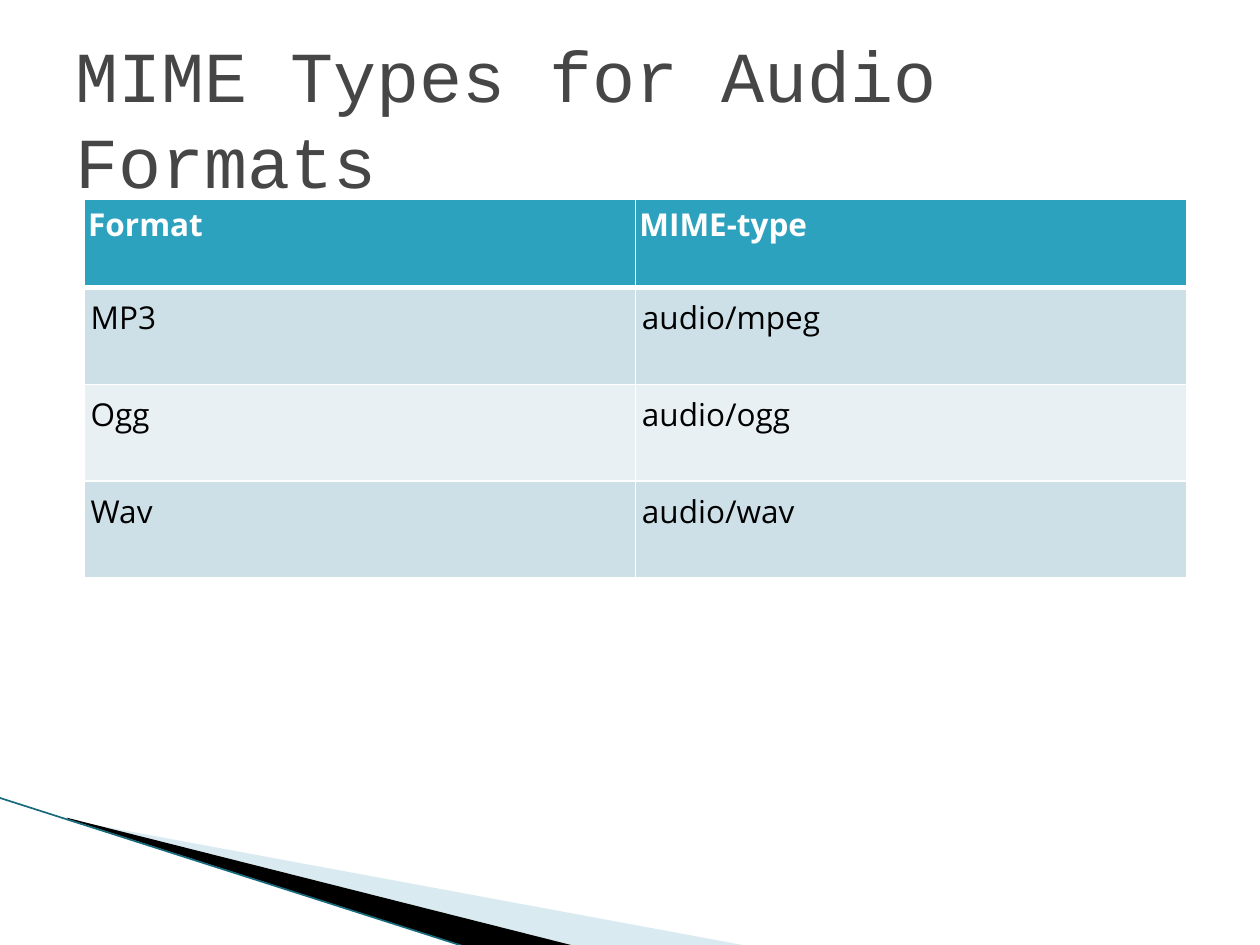
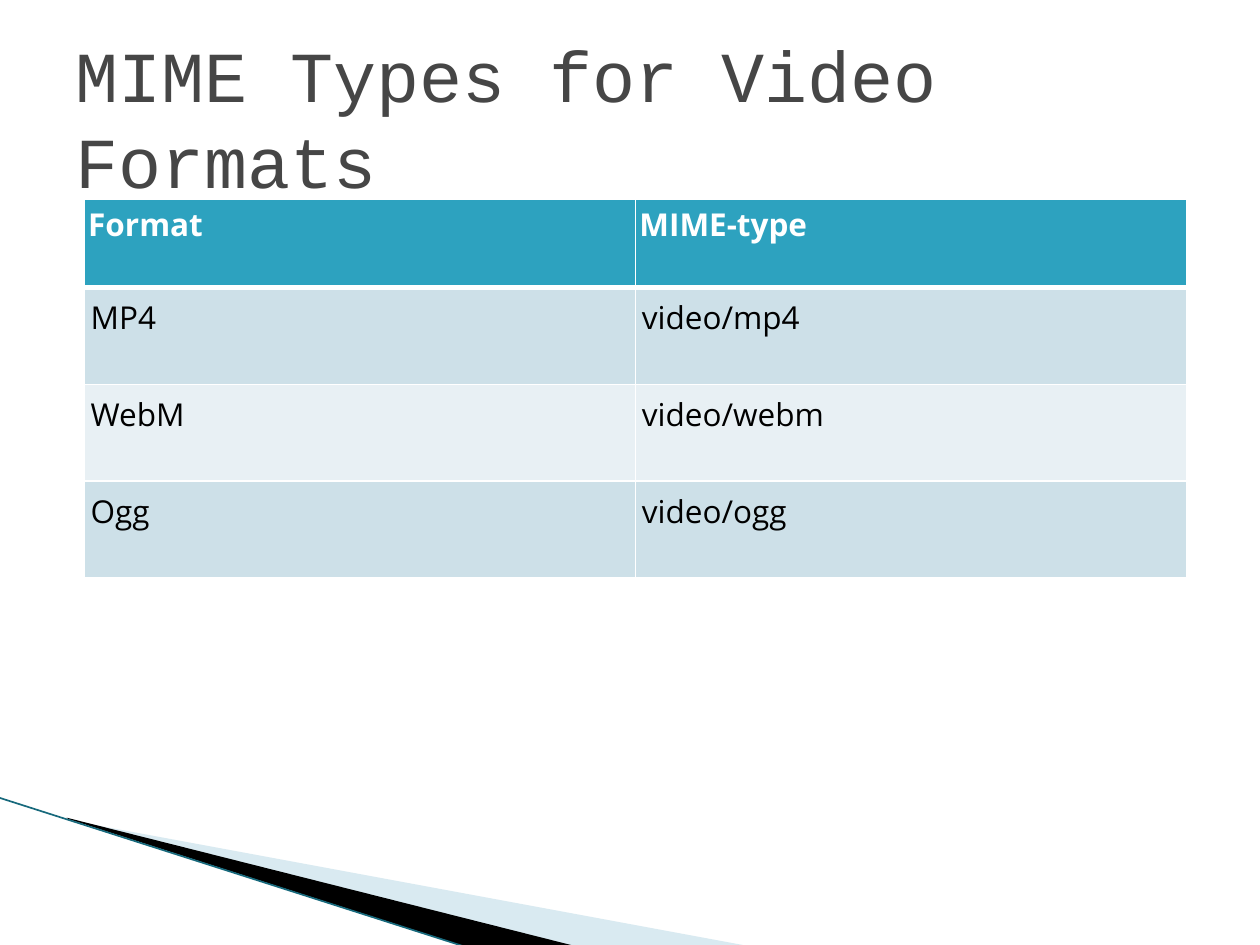
from lxml import etree
from pptx import Presentation
from pptx.dml.color import RGBColor
from pptx.enum.shapes import MSO_CONNECTOR
from pptx.enum.text import MSO_ANCHOR, MSO_AUTO_SIZE, PP_ALIGN
from pptx.oxml.ns import qn
from pptx.util import Pt

PX = 9144  # EMU per px, 100 px to the inch
LEFT, MIDDLE, NO_FIT = PP_ALIGN.LEFT, MSO_ANCHOR.MIDDLE, MSO_AUTO_SIZE.NONE
STRAIGHT = MSO_CONNECTOR.STRAIGHT
TITLE_ONLY = 5

WHITE, BLACK, GREY = "FFFFFF", "000000", "464646"
TEAL, PALE, PALER = "2DA2BF", "CDE0E8", "E8F0F4"
SWEEP_BLUE, EDGE = "A0CBDC", "17697C"

TITLE = {"name": "Courier New", "size": Pt(41), "bold": False, "color": GREY}
HEAD = {"name": "Open Sans", "size": Pt(18), "bold": True, "color": WHITE}
BODY = {**HEAD, "bold": False, "color": BLACK}


def rgb(value):
    return RGBColor.from_string(value)


def set_font(font, style):
    for key, value in style.items():
        if key == "color":
            font.color.rgb = rgb(value)
        else:
            setattr(font, key, value)


def set_attrs(target, values):
    for key, value in values.items():
        setattr(target, key, value)


class Deck:
    def __init__(self):
        self.prs = Presentation()
        set_attrs(self.prs, {"slide_width": 1000 * PX, "slide_height": 750 * PX})
        self.s = None

    def slide(self, title):
        self.s = self.prs.slides.add_slide(self.prs.slide_layouts[TITLE_ONLY])
        self.sweep()
        self.title(title)

    def title(self, text):
        sp = self.s.shapes.title
        set_attrs(sp, {"left": 50 * PX, "top": 30 * PX,
                       "width": 900 * PX, "height": 125 * PX})
        tf = sp.text_frame
        set_attrs(tf, {"text": text, "word_wrap": True,
                       "auto_size": NO_FIT, "vertical_anchor": MIDDLE})
        p = tf.paragraphs[0]
        p.alignment = LEFT
        set_font(p.runs[0].font, TITLE)

    # Corner decoration shared by the slides
    def sweep(self):
        self.polygon([(55, 651), (595, 751), (456, 751), (55, 650)], SWEEP_BLUE, 40)
        self.polygon([(53, 649), (457, 751), (372, 752), (54, 650)], BLACK)
        self.line((-1, 633), (371, 752), EDGE, 0.95)

    def polygon(self, points, color, opacity=100):
        builder = self.s.shapes.build_freeform(*points[0], scale=PX)
        builder.add_line_segments(points[1:], close=True)
        sp = builder.convert_to_shape()
        sp.shadow.inherit = False
        sp.line.fill.background()
        sp.fill.solid()
        sp.fill.fore_color.rgb = rgb(color)
        if opacity < 100:
            clr = sp.fill._xPr.find(".//" + qn("a:srgbClr"))
            etree.SubElement(clr, qn("a:alpha"), val=str(opacity * 1000))

    def line(self, start, end, color, width):
        ends = [v * PX for v in (*start, *end)]
        cxn = self.s.shapes.add_connector(STRAIGHT, *ends)
        cxn.line.color.rgb = rgb(color)
        cxn.line.width = Pt(width)
        etree.SubElement(cxn._element.spPr, qn("a:effectLst"))

    # Table with a header row and banded body rows
    def table(self, rows):
        heights = [70] + [77] * (len(rows) - 1)
        frame = self.s.shapes.add_table(len(rows), len(rows[0]), 67 * PX, 158 * PX,
                                        875 * PX, sum(heights) * PX)
        tbl = frame.table
        for r, (row, height) in enumerate(zip(rows, heights)):
            tbl.rows[r].height = height * PX
            for c, text in enumerate(row):
                self.cell(tbl.cell(r, c), text, r)

    def cell(self, cell, text, r):
        header = r == 0
        pad_x, pad_y = (3, 3) if header else (5, 7)
        set_attrs(cell, {"text": text,
                         "margin_left": pad_x * PX, "margin_right": pad_x * PX,
                         "margin_top": pad_y * PX, "margin_bottom": pad_y * PX})
        set_font(cell.text_frame.paragraphs[0].runs[0].font, HEAD if header else BODY)
        # Borders come before the fill, with a thick rule under the header
        tcPr = cell._tc.get_or_add_tcPr()
        widths = {"L": 1, "R": 1, "T": 3 if r == 1 else 1, "B": 3 if header else 1}
        for side, width in widths.items():
            ln = etree.SubElement(tcPr, qn("a:ln" + side), w=str(Pt(width)))
            fill = etree.SubElement(ln, qn("a:solidFill"))
            etree.SubElement(fill, qn("a:srgbClr"), val=WHITE)
        cell.fill.solid()
        cell.fill.fore_color.rgb = rgb(TEAL if header else PALE if r % 2 else PALER)


def main():
    deck = Deck()
    formats = {
        "Audio": [("MP3", "mpeg"), ("Ogg", "ogg"), ("Wav", "wav")],
        "Video": [("MP4", "mp4"), ("WebM", "webm"), ("Ogg", "ogg")],
    }
    for media, pairs in formats.items():
        deck.slide(f"MIME Types for {media} Formats")
        rows = [(name, f"{media.lower()}/{subtype}") for name, subtype in pairs]
        deck.table([("Format", "MIME-type")] + rows)
    deck.prs.save("out.pptx")


if __name__ == "__main__":
    main()
